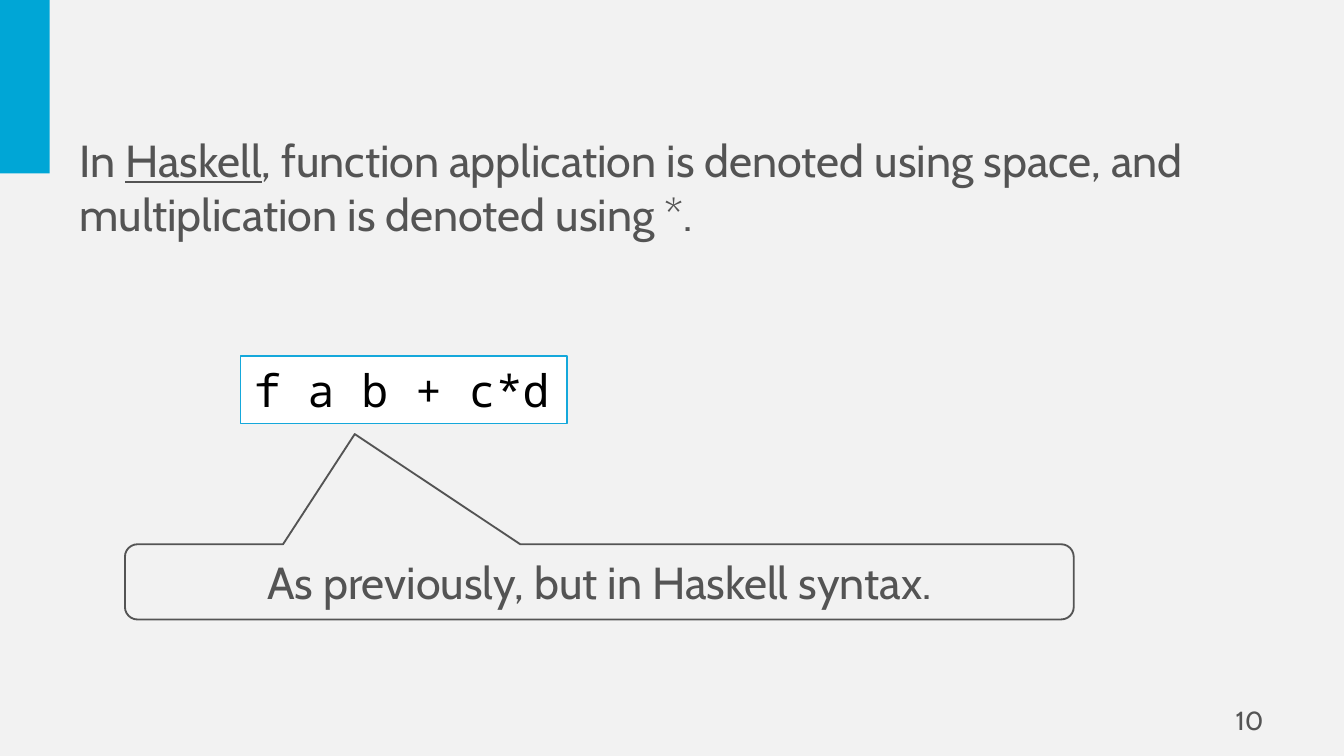
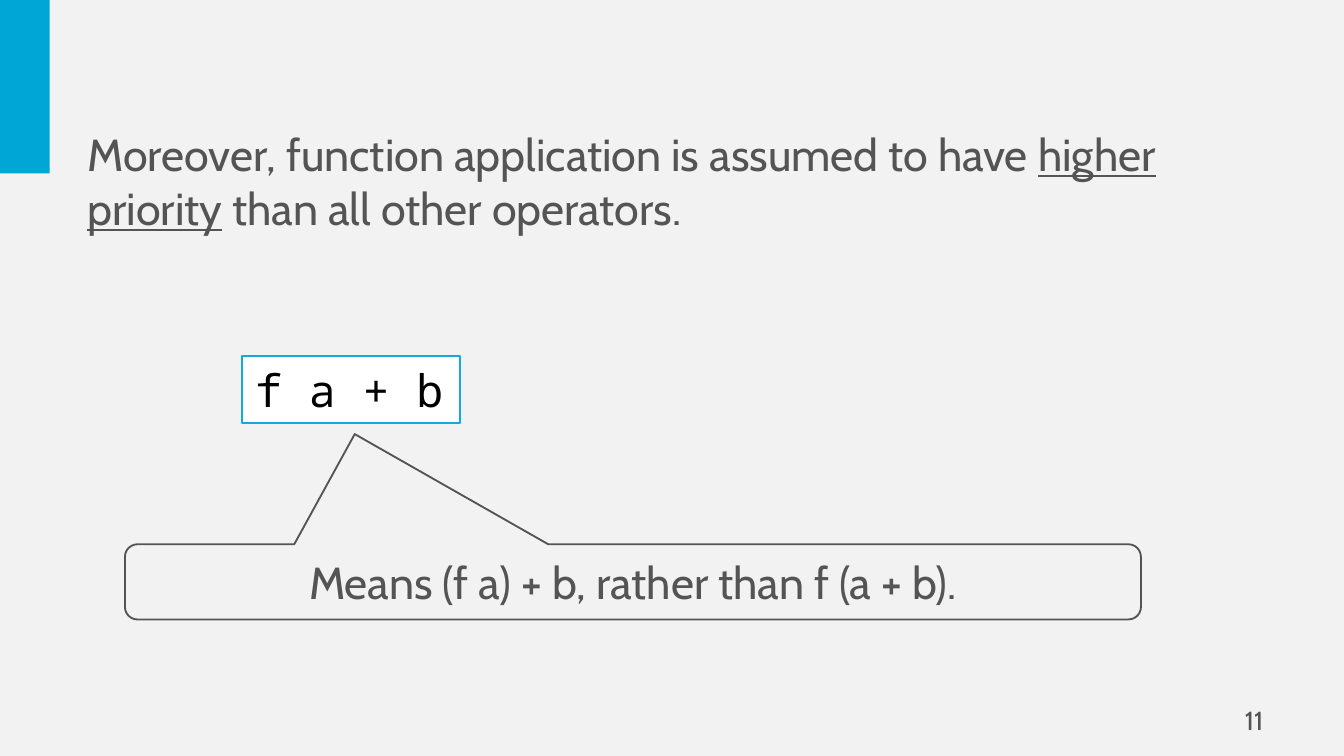
import pptx
import pptx.util
import pptx.dml.color
import pptx.enum.shapes
import pptx.enum.text
import pptx.oxml
import pptx.oxml.ns

Inches = pptx.util.Inches
Pt = pptx.util.Pt
RGBColor = pptx.dml.color.RGBColor
MSO_SHAPE = pptx.enum.shapes.MSO_SHAPE
PP_ALIGN = pptx.enum.text.PP_ALIGN
MSO_ANCHOR = pptx.enum.text.MSO_ANCHOR
MSO_AUTO_SIZE = pptx.enum.text.MSO_AUTO_SIZE

PAPER = RGBColor(0xF2, 0xF2, 0xF2)
BAND_BLUE = RGBColor(0x00, 0xA6, 0xD6)
CODE_EDGE = RGBColor(0x15, 0xA8, 0xDB)
GREY = RGBColor(0x54, 0x54, 0x54)
WHITE = RGBColor(0xFF, 0xFF, 0xFF)
BLACK = RGBColor(0x00, 0x00, 0x00)
TEXT_FONT = "Cabin"
CODE_FONT = "Noto Sans Mono"

SLIDE_WIDTH = Inches(10)
SLIDE_HEIGHT = SLIDE_WIDTH * 9 // 16
TIP_X, TIP_Y = 2.64, 3.23

LESSONS = [
    {
        "number": "10",
        "statement": [
            ("In ", False),
            ("Haskell", True),
            (", function application is denoted using space, and "
             "multiplication is denoted using *.", False),
        ],
        "statement_box": (0.49, 0.94, 9, 0.91),
        "statement_anchor": MSO_ANCHOR.TOP,
        "code": "f a b + c*d",
        "code_box": (1.79, 2.65, 2.43, 0.5),
        "code_edge_width": 0.75,
        "meaning": "As previously, but in Haskell syntax.",
        "meaning_box": (0.93, 4.05, 7.06, 0.56),
    },
    {
        "number": "11",
        "statement": [
            ("Moreover, function application is assumed to have ", False),
            ("higher priority", True),
            (" than all other operators.", False),
        ],
        "statement_box": (0.55, 0.89, 8.94, 0.91),
        "statement_anchor": MSO_ANCHOR.MIDDLE,
        "code": "f a + b",
        "code_box": (1.8, 2.65, 1.62, 0.5),
        "code_edge_width": 1,
        "meaning": "Means (f a) + b, rather than f (a + b).",
        "meaning_box": (0.93, 4.05, 7.56, 0.56),
    },
]


def style_paragraph(paragraph, size=24, font=TEXT_FONT, color=GREY, align=PP_ALIGN.LEFT):
    paragraph.alignment = align
    paragraph.font.size = Pt(size)
    paragraph.font.name = font
    paragraph.font.color.rgb = color


def add_panel(slide, kind, box, fill=None, edge=None, edge_width=1):
    panel = slide.shapes.add_shape(kind, *map(Inches, box))
    panel.shadow.inherit = False
    if fill is None:
        panel.fill.background()
    else:
        panel.fill.solid()
        panel.fill.fore_color.rgb = fill
    if edge is None:
        panel.line.fill.background()
    else:
        panel.line.color.rgb = edge
        panel.line.width = Pt(edge_width)
    return panel


def add_frame(slide, number):
    add_panel(slide, MSO_SHAPE.RECTANGLE, (0, 0, 0.37, 1.29), BAND_BLUE)
    page = slide.shapes.add_textbox(*map(Inches, (7.17, 5.21, 2.33, 0.3))).text_frame
    page.word_wrap = True
    page.vertical_anchor = MSO_ANCHOR.MIDDLE
    page.text = number
    style_paragraph(page.paragraphs[0], size=14, align=PP_ALIGN.RIGHT)


def fill_statement(slide, box, parts, anchor):
    statement = slide.placeholders[1]
    statement.left, statement.top, statement.width, statement.height = map(Inches, box)
    frame = statement.text_frame
    frame.word_wrap = True
    frame.auto_size = MSO_AUTO_SIZE.SHAPE_TO_FIT_TEXT
    frame.vertical_anchor = anchor
    sentence = frame.paragraphs[0]
    style_paragraph(sentence)
    sentence.space_before = Pt(0)
    properties = sentence._p.get_or_add_pPr()
    properties.set("marL", "0")
    properties.set("indent", "0")
    no_bullet = pptx.oxml.parse_xml(
        '<a:buNone xmlns:a="http://schemas.openxmlformats.org/drawingml/2006/main"/>')
    properties.find(pptx.oxml.ns.qn("a:defRPr")).addprevious(no_bullet)
    for words, underlined in parts:
        run = sentence.add_run()
        run.text = words
        if underlined:
            run.font.underline = True


def add_code(slide, box, code, edge_width):
    frame = add_panel(slide, MSO_SHAPE.RECTANGLE, box, WHITE, CODE_EDGE, edge_width).text_frame
    frame.word_wrap = False
    frame.auto_size = MSO_AUTO_SIZE.SHAPE_TO_FIT_TEXT
    frame.vertical_anchor = MSO_ANCHOR.TOP
    frame.text = code
    style_paragraph(frame.paragraphs[0], font=CODE_FONT, color=BLACK)


def add_meaning(slide, box, words):
    callout = add_panel(slide, MSO_SHAPE.ROUNDED_RECTANGULAR_CALLOUT, box, edge=GREY)
    left, top, width, height = box
    callout.adjustments[0] = (TIP_X - left) / width - 0.5
    callout.adjustments[1] = (TIP_Y - top) / height - 0.5
    frame = callout.text_frame
    frame.word_wrap = True
    frame.auto_size = MSO_AUTO_SIZE.SHAPE_TO_FIT_TEXT
    frame.vertical_anchor = MSO_ANCHOR.MIDDLE
    frame.text = words
    style_paragraph(frame.paragraphs[0], align=PP_ALIGN.CENTER)


def add_lesson(deck, lesson):
    slide = deck.slides.add_slide(deck.slide_layouts[1])
    heading = slide.shapes.title.element
    heading.getparent().remove(heading)
    add_frame(slide, lesson["number"])
    fill_statement(slide, lesson["statement_box"], lesson["statement"],
                   lesson["statement_anchor"])
    add_code(slide, lesson["code_box"], lesson["code"], lesson["code_edge_width"])
    add_meaning(slide, lesson["meaning_box"], lesson["meaning"])


def main():
    deck = pptx.Presentation()
    deck.slide_width, deck.slide_height = SLIDE_WIDTH, SLIDE_HEIGHT
    paper = deck.slide_master.background.fill
    paper.solid()
    paper.fore_color.rgb = PAPER
    for lesson in LESSONS:
        add_lesson(deck, lesson)
    deck.save("out.pptx")


if __name__ == "__main__":
    main()
